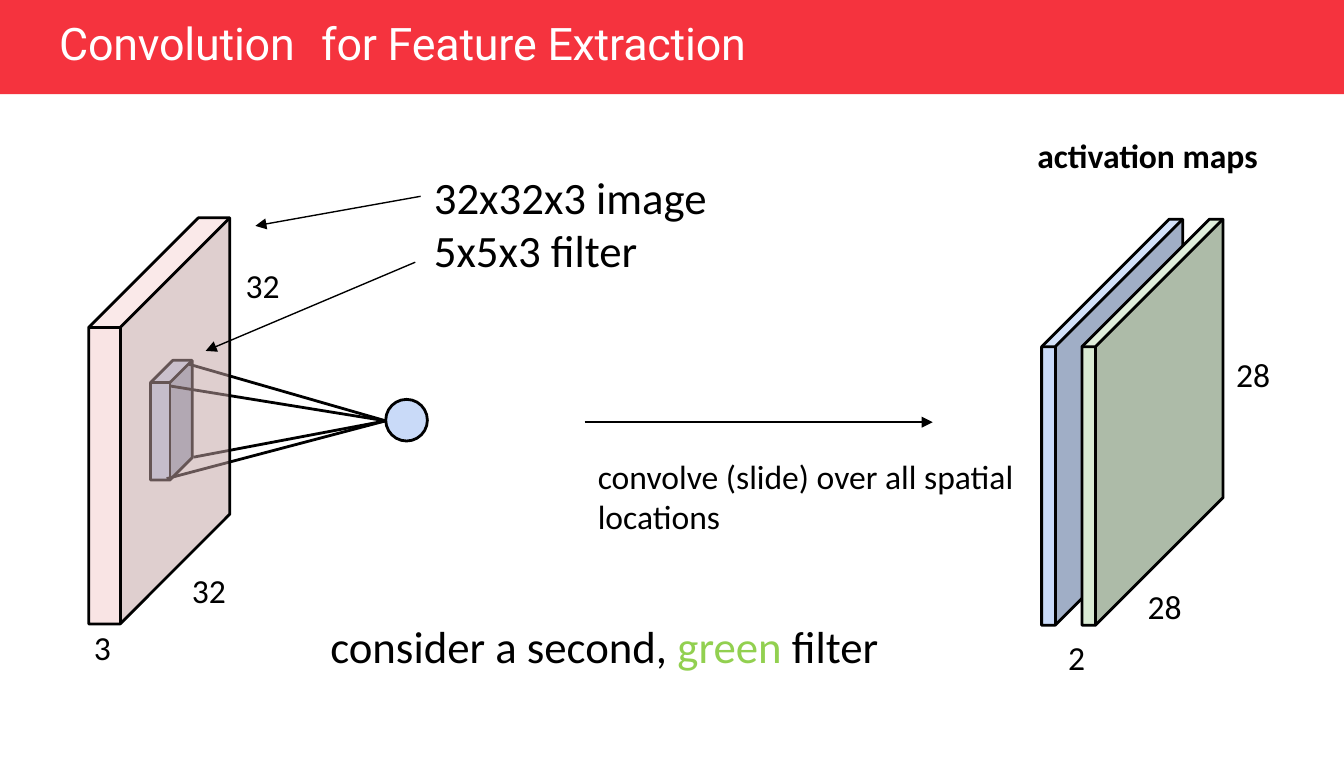
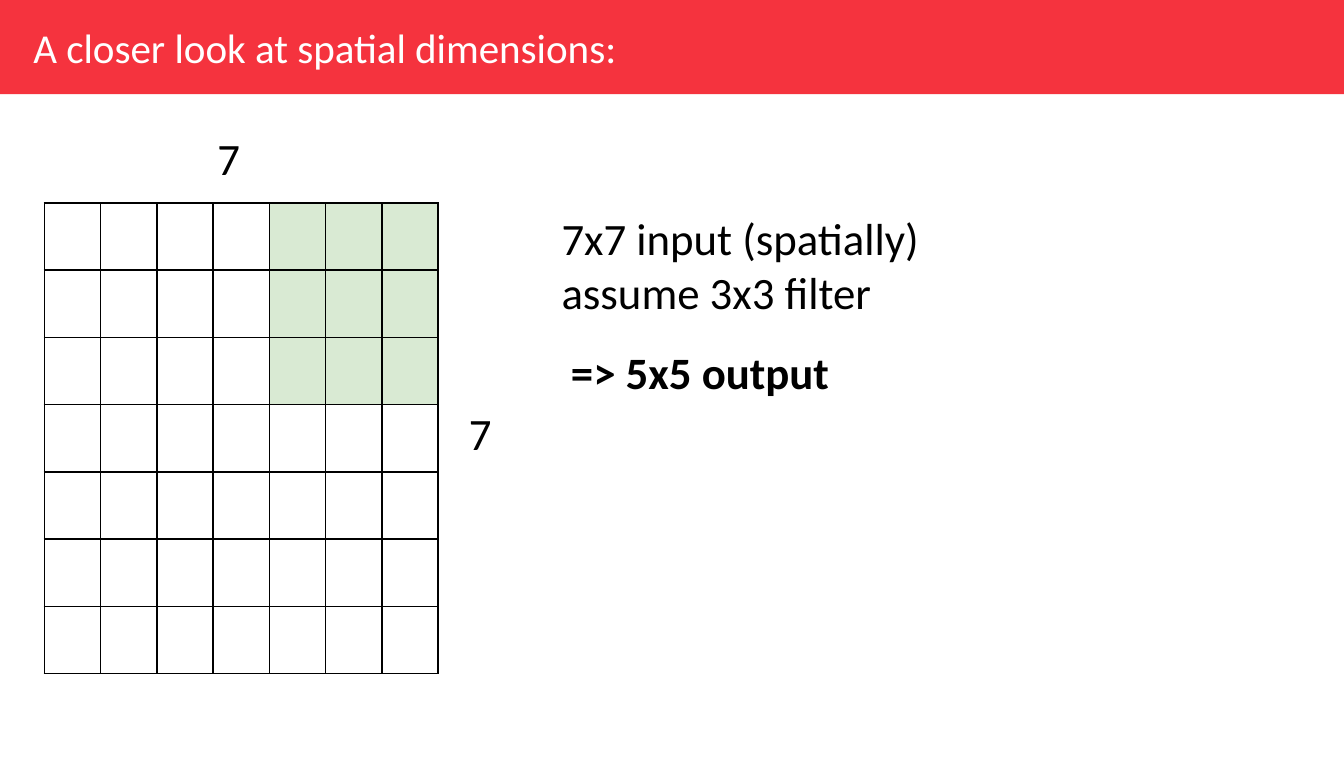
from lxml.etree import SubElement
from pptx import Presentation
from pptx.dml.color import RGBColor
from pptx.enum.shapes import MSO_CONNECTOR, MSO_SHAPE
from pptx.enum.text import MSO_ANCHOR
from pptx.oxml.ns import qn
from pptx.util import Inches, Pt

CUBE, BALL, BLOCK = MSO_SHAPE.CUBE, MSO_SHAPE.OVAL, MSO_SHAPE.RECTANGLE
LINE = MSO_CONNECTOR.STRAIGHT
TOP, MIDDLE = MSO_ANCHOR.TOP, MSO_ANCHOR.MIDDLE


class Theme:
    red = RGBColor.from_string("F5333E")
    blue = RGBColor.from_string("C9DAF8")
    pink = RGBColor.from_string("F4CCCC")
    mint = RGBColor.from_string("D9EAD3")
    green = RGBColor.from_string("92D050")
    black = RGBColor.from_string("000000")
    white = RGBColor.from_string("FFFFFF")
    body, head = "Calibri", "Roboto"
    large, mid, small = 24, 22, 18
    thick, thin = 1.5, 0.75


deck = Presentation()
deck.slide_width, deck.slide_height = Inches(10), Inches(5.63)
step = deck.slide_width / 100


def cells(*sizes):
    return [round(size * step) for size in sizes]


def solid(slide, form, box, fill, depth=None, edge=True):
    shape = slide.shapes.add_shape(form, *cells(*box))
    shape.shadow.inherit = False
    shape.fill.solid()
    shape.fill.fore_color.rgb = fill
    if edge:
        shape.line.color.rgb = Theme.black
        shape.line.width = Pt(Theme.thick)
    else:
        shape.line.fill.background()
    if depth:
        shape.adjustments[0] = depth
    return shape


blank = deck.slide_layouts[6]
maps, grid = [deck.slides.add_slide(blank) for _ in range(2)]
for slide in (maps, grid):
    solid(slide, BLOCK, (0, 0, 100, 7), Theme.red, edge=False)

solid(maps, CUBE, (11.2, 26.8, 3.1, 8.9), Theme.blue, 0.534)
solid(maps, BALL, (28.7, 29.7, 3.1, 3.1), Theme.blue)

focus = (28.7, 31.3)
corners = [(12.4, 35.6), (12.6, 28.7), (14.1, 27.1), (14.4, 34)]
links = [(corner, focus, False) for corner in corners] + [
    ((31.3, 14.6), (19, 16.8), True),
    ((30.9, 19.5), (15.3, 26.1), True),
    ((43.5, 31.4), (69.4, 31.4), True),
]
for index, (start, end, arrow) in enumerate(links):
    if index == len(corners):
        image = solid(maps, CUBE, (6.6, 16.2, 10.5, 30.2), Theme.pink, 0.777)
        paint = image.element.spPr.find(qn("a:solidFill"))[0]
        SubElement(paint, qn("a:alpha"), val="52000")
    link = maps.shapes.add_connector(LINE, *cells(*start, *end))
    link.line.color.rgb = Theme.black
    link.line.width = Pt(Theme.thin if arrow else Theme.thick)
    props = link.element.spPr
    if arrow:
        SubElement(props.find(qn("a:ln")), qn("a:tailEnd"), type="triangle")
    SubElement(props, qn("a:effectLst"))

for layer, fill in enumerate((Theme.blue, Theme.mint)):
    solid(maps, CUBE, (77.5 + 3 * layer, 16.3, 10.5, 30.2), fill, 0.904)

table = grid.shapes.add_table(7, 7, *cells(3.3, 15.1, 29.3, 35)).table
table.first_row = table.horz_banding = False
for row in range(7):
    for col in range(7):
        cell = table.cell(row, col)
        props = cell._tc.get_or_add_tcPr()
        for side in ("lnL", "lnR", "lnT", "lnB"):
            edge = SubElement(props, qn("a:" + side), w=str(Pt(1)))
            paint = SubElement(edge, qn("a:solidFill"))
            SubElement(paint, qn("a:srgbClr"), val=str(Theme.black))
        cell.fill.solid()
        cell.fill.fore_color.rgb = Theme.mint if row < 3 and col > 3 else Theme.white

large, mid, small = Theme.large, Theme.mid, Theme.small
black, white = Theme.black, Theme.white
texts = [
    (maps, (13.3, 41.4, 5.4, 3.4), "32", small, black, False, TOP),
    (maps, (17.3, 18.7, 5.4, 3.1), "32", small, black, False, TOP),
    (maps, (6, 45.6, 5.4, 2), "3", small, black, False, TOP),
    (maps, (31.3, 11.6, 39.8, 6), "32x32x3 image\n5x5x3 filter", large, black, False, TOP),
    (maps, (43.5, 32.9, 34.4, 8.9), "convolve (slide) over all spatial locations",
     small, black, False, TOP),
    (maps, (76.2, 9, 21.1, 5.9), "activation maps", small, black, True, TOP),
    (maps, (78.5, 46.4, 3.6, 3.4), "2", small, black, False, TOP),
    (maps, (84.4, 42.6, 6, 2.2), "28", small, black, False, TOP),
    (maps, (91, 25.3, 5.4, 3.4), "28", small, black, False, TOP),
    (maps, (23.6, 45, 55.4, 3.1), "consider a second, |green| filter",
     large, black, False, TOP),
    (grid, (40.8, 14.7, 56, 20.1), "7x7 input (spatially)\nassume 3x3 filter",
     large, black, False, TOP),
    (grid, (15.2, 8.7, 6, 5), "7", large, black, False, TOP),
    (grid, (33.9, 29.2, 6.4, 3.1), "7", large, black, False, TOP),
    (grid, (1.5, 0.7, 91.6, 6.6), "A closer look at spatial dimensions:",
     mid, white, False, TOP),
    (grid, (41.5, 12.7, 32.8, 29.9), "=> 5x5 output", large, black, True, MIDDLE),
    (maps, (4.3, 1.1, 51.4, 4.3), "Convolution\tfor Feature Extraction",
     large, white, False, TOP),
]
for slide, box, words, size, ink, bold, anchor in texts:
    frame = slide.shapes.add_textbox(*cells(*box)).text_frame
    frame.word_wrap = True
    frame.vertical_anchor = anchor
    frame.margin_left = frame.margin_right = round(step)
    frame.margin_top = frame.margin_bottom = round(step)
    frame.text = words.replace("|", "\n") if "\n" in words else words.split("|")[0]
    for part in words.split("|")[1:]:
        frame.paragraphs[0].add_run().text = part
    for para in frame.paragraphs:
        for index, run in enumerate(para.runs):
            run.font.name = Theme.body
            run.font.size = Pt(size)
            run.font.bold = bold
            run.font.color.rgb = Theme.green if index == 1 else ink

frame.margin_left = frame.margin_right = frame.margin_bottom = 0
frame.margin_top = round(step / 10)
title = frame.paragraphs[0]
props = title._p.get_or_add_pPr()
props.set("marL", str(round(step / 10)))
tabs = SubElement(props, qn("a:tabLst"))
SubElement(tabs, qn("a:tab"), pos=str(round(19.5 * step)), algn="l")
for run in title.runs:
    run.font.name = Theme.head
    run.font.element.set("spc", "-10") if hasattr(run.font, "element") else run._r.rPr.set("spc", "-10")

deck.save("out.pptx")
